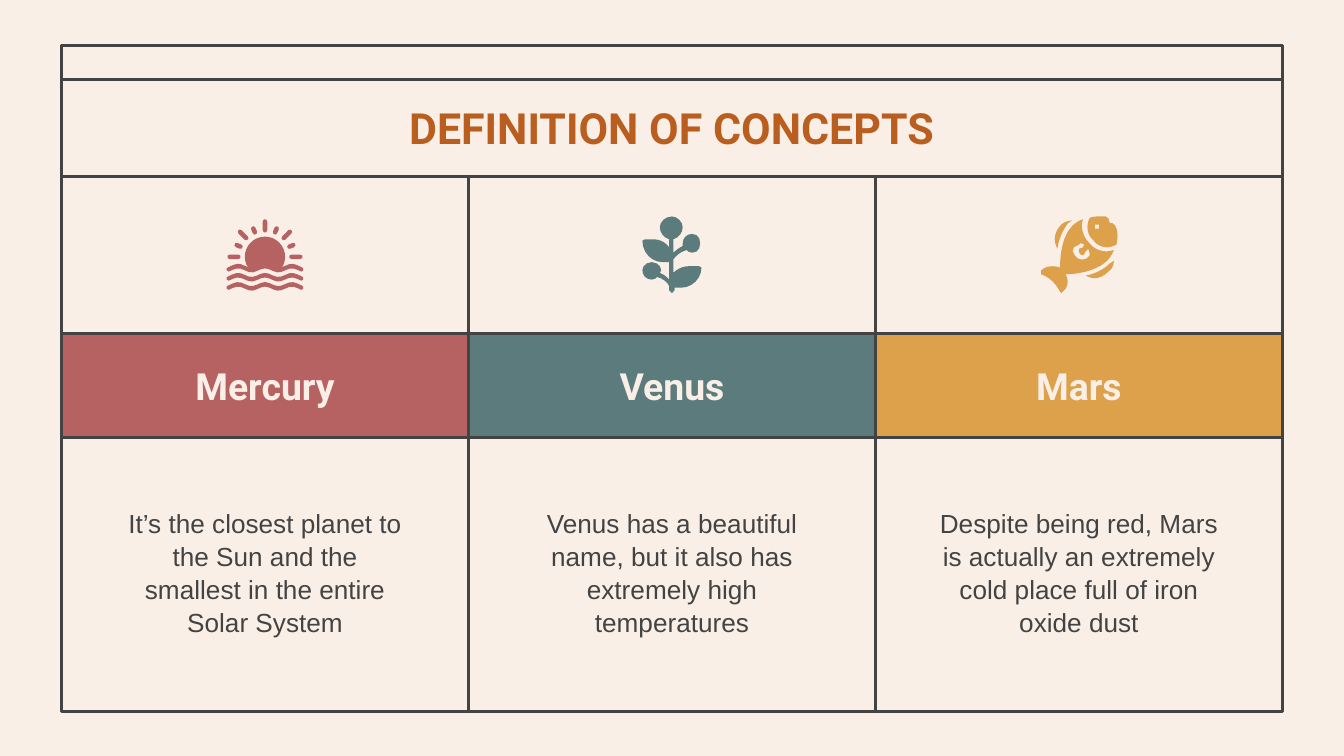
from math import cos, dist, pi, sin
from typing import NamedTuple

from pptx import Presentation
from pptx.dml.color import RGBColor
from pptx.enum import shapes as sh, text as tx
from pptx.oxml import parse_xml
from pptx.oxml.ns import nsdecls
from pptx.util import Pt

INK, CREAM, RUST = "434343", "FAEFE6", "BA5E20"
LEFT, TOP, RIGHT, BASE = 33, 24.5, 687, 381
COL = (RIGHT - LEFT) / 3
ICON_TOP, UNIT = 116, 0.72  # icon grid: 0.72 pt per unit

Point = tuple[float, float]
Ring = list[Point]

# Rings are split by "/", segments by ";": two numbers draw a line, six a curve.
PLANT = """22 0; 17 0 13 4 13 8; 13 12 16 16 20 17; 20 23; 17 19 13 17 8 17; 2 17;
1 17 0 18 0 18; 0 27 7 34 15 34; 20 34; 20 47; 18 45 16 43 13 42; 13 42 14 41 14 40;
14 37 11 34 7 34; 3 34 0 37 0 40; 0 44 3 47 7 47; 9 47 10 46 11 45; 15 46 19 49 20 52;
20 55; 20 56 21 57 22 57; 23 57 24 56 24 55; 24 53; 29 53; 37 53 44 46 44 38;
43 37 43 37 42 37; 35 37; 30 37 26 39 23 42; 23 32; 25 29 29 26 33 25;
34 26 35 27 37 27; 41 27 43 24 43 20; 43 16 41 13 37 13; 33 13 30 16 30 20;
30 21 30 22 30 22; 28 23 25 25 23 27; 23 17; 27 16 30 12 30 8; 30 4 26 0 22 0"""
BELLY = """55 33; 54 34 53 35 52 35; 47 40 40 43 34 44; 36 45 38 46 41 46;
44 46 48 44 51 41; 54 39 55 36 55 33"""
HEAD = """45 0; 42 0 39 0 37 1; 34 7 35 14 40 18; 42 21 46 23 50 23; 52 23 55 22 57 21;
58 16 58 12 57 9; 57 7 55 6 54 5; 52 5; 52 2 50 0 49 0; 45 0
/ 42 6; 44 6; 44 9; 41 9; 41 6"""
FIN = """24 3; 21 3 18 4 16 6; 13 9 11 13 11 17; 11 19 12 22 13 24; 14 17 17 10 21 5;
22 4 23 3 24 3"""
BODY = """32 2; 29 3 26 5 24 7; 16 15 15 31 15 38; 13 37 11 37 9 37; 6 37 3 38 1 40;
0 40 0 42 1 43; 7 45 12 50 15 56; 16 57; 17 56; 21 53 22 47 19 43; 20 43;
26 43 42 41 50 33; 52 31 54 28 55 25; 53 25 52 26 50 26; 45 26 40 24 37 20;
32 15 30 8 32 2 / 31 20; 32 20 32 20 33 21; 33 22 32 23 32 23; 29 24;
28 24 28 26 29 26; 30 28; 31 29 31 29 32 29; 32 29 33 28 33 28; 34 26;
34 25 35 24 36 24; 37 25 38 26 37 27; 37 29; 36 31 34 32 32 32;
31 32 29 32 28 31; 26 29; 23 26 24 22 29 21; 30 20; 31 20"""


def trace(code: str, width: float) -> list[Ring]:
    """Turn path code into rings centred on x = 0."""
    rings = []
    for part in code.split("/"):
        ring: Ring = []
        for seg in part.split(";"):
            n = [float(v) for v in seg.split()]
            pts = [(x - width / 2, y) for x, y in zip(n[::2], n[1::2])]
            if len(pts) == 1:
                ring += pts
                continue
            a, (b, c, d) = ring[-1], pts
            steps = min(6, max(1, round(dist(a, d) / 2.7)))
            for t in (k / steps for k in range(1, steps + 1)):
                s = 1 - t
                ring.append(tuple(
                    s**3 * a[i] + 3 * s * s * t * b[i] + 3 * s * t * t * c[i] + t**3 * d[i]
                    for i in (0, 1)))
        rings.append(ring)
    return rings


def arc(x: float, y: float, r: float, start: float, sweep: float, n: int) -> Ring:
    return [(x + r * cos(start + sweep * k / n), y + r * sin(start + sweep * k / n))
            for k in range(n + 1)]


def ray(turn: float, far: float) -> Ring:
    """Round-ended bar pointing away from the sun's centre."""
    r, mid = 1.7, 30
    ends = ((18 + r, turn + pi / 2), (far - r, turn - pi / 2))
    return [p for d, a in ends
            for p in arc(d * cos(turn), mid + d * sin(turn), r, a, pi, 3)]


def wave(y: float) -> Ring:
    """Wavy band of even thickness."""
    mid = [(x, y - 1.5 * cos(pi * x / 10)) for x in range(-27, 28, 3)]
    r = 1.7
    return (arc(*mid[-1], r, -pi / 2, pi, 3) + [(x, v + r) for x, v in mid[-2:0:-1]]
            + arc(*mid[0], r, pi / 2, pi, 3) + [(x, v - r) for x, v in mid[1:-1]])


def sun() -> list[list[Ring]]:
    """Disc, rays and lower waves as one outline, then the wave over the disc."""
    disc = [(x, min(y, 38.4)) for x, y in arc(0, 30, 15, 0, 2 * pi, 32)]
    rays = [ray(pi + k * pi / 8, 24.5 if k % 2 else 28) for k in range(9)]
    return [[disc, *rays, wave(45.2), wave(52)], [wave(38.4)]]


class Planet(NamedTuple):
    name: str
    fill: str
    note: str
    icon: list[list[Ring]]


PLANETS = [
    Planet("Mercury", "B76262", "It’s the closest planet to the Sun and the smallest "
           "in the entire Solar System", sun()),
    Planet("Venus", "5B7B7C", "Venus has a beautiful name, but it also has extremely "
           "high temperatures", [trace(PLANT, 44)]),
    Planet("Mars", "DDA14B", "Despite being red, Mars is actually an extremely cold "
           "place full of iron oxide dust",
           [trace(c, 58) for c in (BELLY, HEAD, FIN, BODY)]),
]


def hue(code: str) -> RGBColor:
    return RGBColor.from_string(code)


def paint(item, fill: str = "", line: str = "") -> None:
    item.shadow.inherit = False
    for part, code in ((item.fill, fill), (item.line.fill, line)):
        if code:
            part.solid()
            part.fore_color.rgb = hue(code)
        else:
            part.background()
    if line:
        item.line.width = Pt(1.5)


def rect(page, x: float, y: float, w: float, h: float, fill: str = "", line: str = ""):
    item = page.add_shape(sh.MSO_SHAPE.RECTANGLE, Pt(x), Pt(y), Pt(w), Pt(h))
    paint(item, fill, line)
    return item


def write(item, words: str, face: str, size: float, code: str, bold: bool = False) -> None:
    frame = item.text_frame
    frame.text = words
    frame.word_wrap = True
    frame.vertical_anchor = tx.MSO_ANCHOR.MIDDLE
    frame.margin_left = frame.margin_right = Pt(7.2)
    frame.margin_top = frame.margin_bottom = Pt(7.2)
    para = frame.paragraphs[0]
    para.alignment = tx.PP_ALIGN.CENTER
    font = para.runs[0].font
    font.name, font.size, font.bold = face, Pt(size), bold
    font.color.rgb = hue(code)


def rule(page, x: float, y: float, x2: float, y2: float) -> None:
    line = page.add_connector(sh.MSO_CONNECTOR.STRAIGHT, Pt(x), Pt(y), Pt(x2), Pt(y2))
    line.line.color.rgb = hue(INK)
    line.line.width = Pt(1.5)
    line._element.spPr.append(parse_xml(f"<a:effectLst {nsdecls('a')}/>"))


def draw(page, rings: list[Ring], mid: float, fill: str) -> None:
    """Draw rings as one outline, centred at mid."""
    first, *rest = [[(Pt(mid + x * UNIT), Pt(ICON_TOP + y * UNIT)) for x, y in ring]
                    for ring in rings]
    pen = page.build_freeform(*first[0])
    pen.add_line_segments(first[1:], close=True)
    for ring in rest:
        pen.move_to(*ring[0])
        pen.add_line_segments(ring[1:], close=True)
    paint(pen.convert_to_shape(), fill)


def main() -> None:
    deck = Presentation()
    deck.slide_width, deck.slide_height = Pt(720), Pt(405)
    slide = deck.slides.add_slide(deck.slide_layouts[6])
    slide.background.fill.solid()
    slide.background.fill.fore_color.rgb = hue(CREAM)
    page = slide.shapes

    rect(page, LEFT, TOP, RIGHT - LEFT, BASE - TOP, line=INK)
    title = rect(page, 62, 49, 596, 38, fill=CREAM)
    write(title, "DEFINITION OF CONCEPTS", "Roboto", 23, RUST, True)
    for i, one in enumerate(PLANETS):
        x = LEFT + i * COL
        band = rect(page, x, 178.5, COL, 56, one.fill, INK)
        write(band, one.name, "Roboto", 20, CREAM, True)
        note = page.add_textbox(Pt(x + 26.5), Pt(260.5), Pt(165), Pt(91.5))
        write(note, one.note, "Arial", 14, INK)
        note.text_frame.paragraphs[0].line_spacing = 1.05
        for rings in one.icon:
            draw(page, rings, x + COL / 2, one.fill)
    for i in (1, 2):
        rule(page, LEFT + i * COL, 94.5, LEFT + i * COL, BASE)
    for y in (42.5, 94.5):
        rule(page, LEFT, y, RIGHT, y)
    deck.save("out.pptx")


if __name__ == "__main__":
    main()
